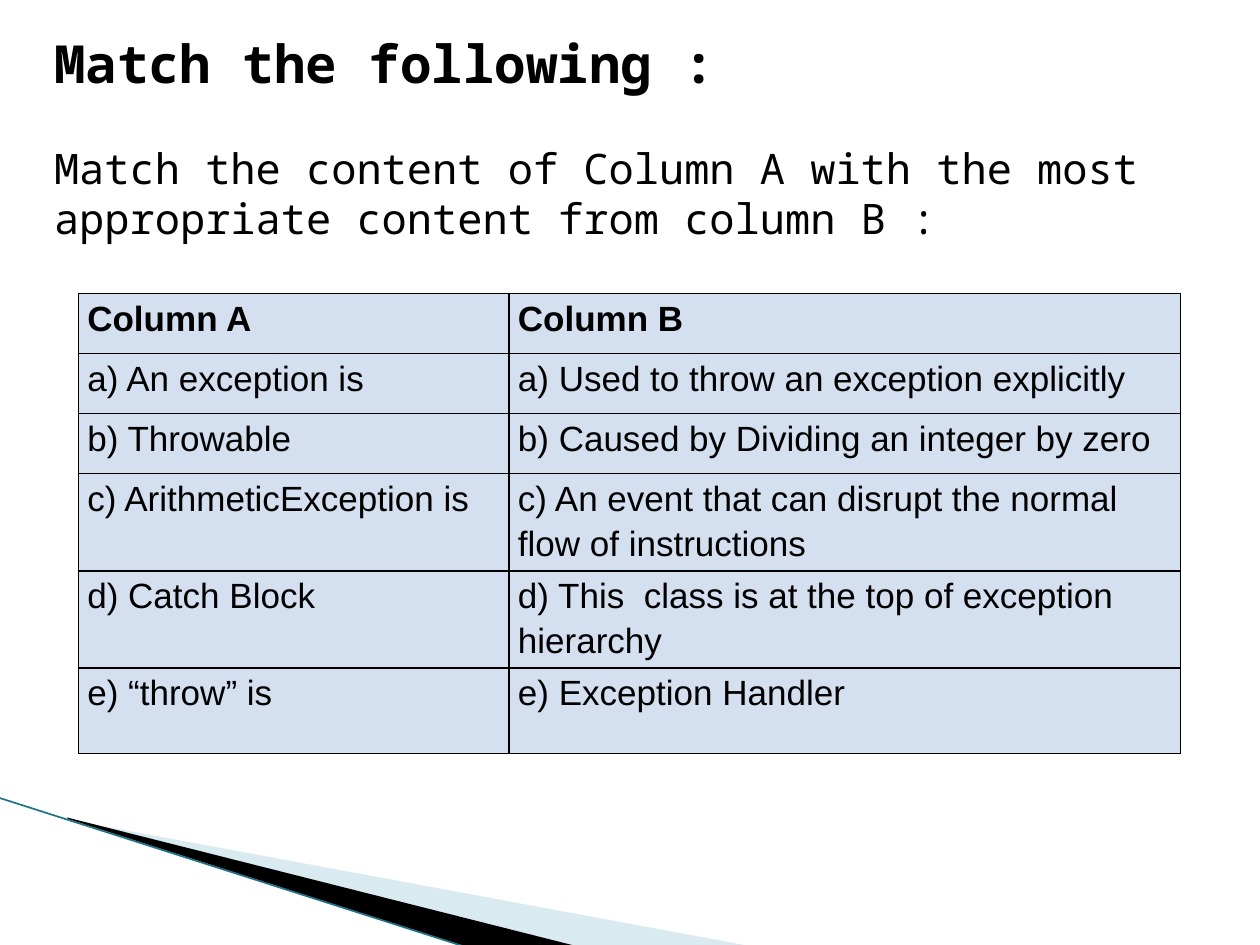
from pptx import Presentation
from pptx.dml.color import RGBColor
from pptx.enum import shapes
from pptx.oxml import parse_xml
from pptx.oxml.ns import nsdecls, qn
from pptx.util import Cm, Pt
from lxml import etree

BLACK = RGBColor(0, 0, 0)
PALE_BLUE = RGBColor(0xD4, 0xDF, 0xEF)
WEDGE_BLUE = RGBColor(0xA0, 0xCB, 0xDC)
TEAL = RGBColor(0x1F, 0x73, 0x88)

HEADINGS = [
    ("Match the following :", 0.84, 0.51, 23.7, 1.55, 30, True),
    ("Match the content of Column A with the most appropriate content from column B :",
     0.84, 2.74, 22.86, 2.31, 24, False),
]
MATCHES = [
    ("Column A", "Column B"),
    ("a) An exception is", "a) Used to throw an exception explicitly"),
    ("b) Throwable", "b) Caused by Dividing an integer by zero"),
    ("c) ArithmeticException is", "c) An event that can disrupt the normal flow of instructions"),
    ("d) Catch Block", "d) This  class is at the top of exception hierarchy"),
    ("e) “throw” is", "e) Exception Handler"),
]
COLUMN_WIDTHS = [8.68, 13.54]
ROW_HEIGHTS = [1.21, 1.21, 1.21, 1.96, 1.96, 1.72]
WEDGES = [
    ([(1.4, 16.53), (15.11, 19.07), (11.58, 19.07), (1.4, 16.51)], WEDGE_BLUE, 40),
    ([(1.35, 16.48), (11.61, 19.07), (9.45, 19.1), (1.37, 16.51)], BLACK, 100),
]


def add_wedge(slide, points, color, opacity):
    start, *rest = [(Cm(x), Cm(y)) for x, y in points]
    builder = slide.shapes.build_freeform(*start)
    builder.add_line_segments(rest)
    wedge = builder.convert_to_shape()
    wedge.shadow.inherit = False
    wedge.fill.solid()
    wedge.fill.fore_color.rgb = color
    wedge.line.fill.background()
    if opacity < 100:
        tint = wedge.fill._xPr.find(qn("a:solidFill"))[0]
        etree.SubElement(tint, qn("a:alpha"), val=str(opacity * 1000))


def add_edge(slide):
    edge = slide.shapes.add_connector(
        shapes.MSO_CONNECTOR.STRAIGHT, Cm(-0.03), Cm(16.08), Cm(9.42), Cm(19.1))
    edge.line.color.rgb = TEAL
    edge.line.width = Pt(0.95)
    etree.SubElement(edge._element.spPr, qn("a:effectLst"))


def style(paragraph, font, size, bold):
    paragraph.font.name = font
    paragraph.font.size = Pt(size)
    paragraph.font.bold = bold
    paragraph.font.color.rgb = BLACK


def add_heading(slide, words, left, top, width, height, size, bold):
    frame = slide.shapes.add_textbox(Cm(left), Cm(top), Cm(width), Cm(height)).text_frame
    frame.word_wrap = True
    frame.text = words
    style(frame.paragraphs[0], "Noto Sans Mono", size, bold)


def fill_cell(cell, words, bold):
    cell.text = words
    cell.margin_left = cell.margin_right = Cm(0.18)
    cell.margin_top = cell.margin_bottom = 0
    paragraph = cell.text_frame.paragraphs[0]
    paragraph.line_spacing = 1.15
    style(paragraph, "Arial", 20, bold)
    properties = cell._tc.get_or_add_tcPr()
    for side in ("lnL", "lnR", "lnT", "lnB"):
        properties.append(parse_xml(
            f'<a:{side} {nsdecls("a")} w="{Pt(1)}"><a:solidFill>'
            f'<a:srgbClr val="{BLACK}"/></a:solidFill></a:{side}>'))
    cell.fill.solid()
    cell.fill.fore_color.rgb = PALE_BLUE


def add_matches(slide):
    table = slide.shapes.add_table(
        len(MATCHES), len(COLUMN_WIDTHS), Cm(1.58), Cm(5.92),
        Cm(sum(COLUMN_WIDTHS)), Cm(sum(ROW_HEIGHTS))).table
    for column, width in zip(table.columns, COLUMN_WIDTHS):
        column.width = Cm(width)
    for i, (row, height, pair) in enumerate(zip(table.rows, ROW_HEIGHTS, MATCHES)):
        row.height = Cm(height)
        for cell, words in zip(row.cells, pair):
            fill_cell(cell, words, i == 0)


def main():
    deck = Presentation()
    deck.slide_width, deck.slide_height = Cm(25.4), Cm(19.05)
    slide = deck.slides.add_slide(deck.slide_layouts[6])
    for wedge in WEDGES:
        add_wedge(slide, *wedge)
    add_edge(slide)
    for heading in HEADINGS:
        add_heading(slide, *heading)
    add_matches(slide)
    deck.save("out.pptx")


if __name__ == "__main__":
    main()
